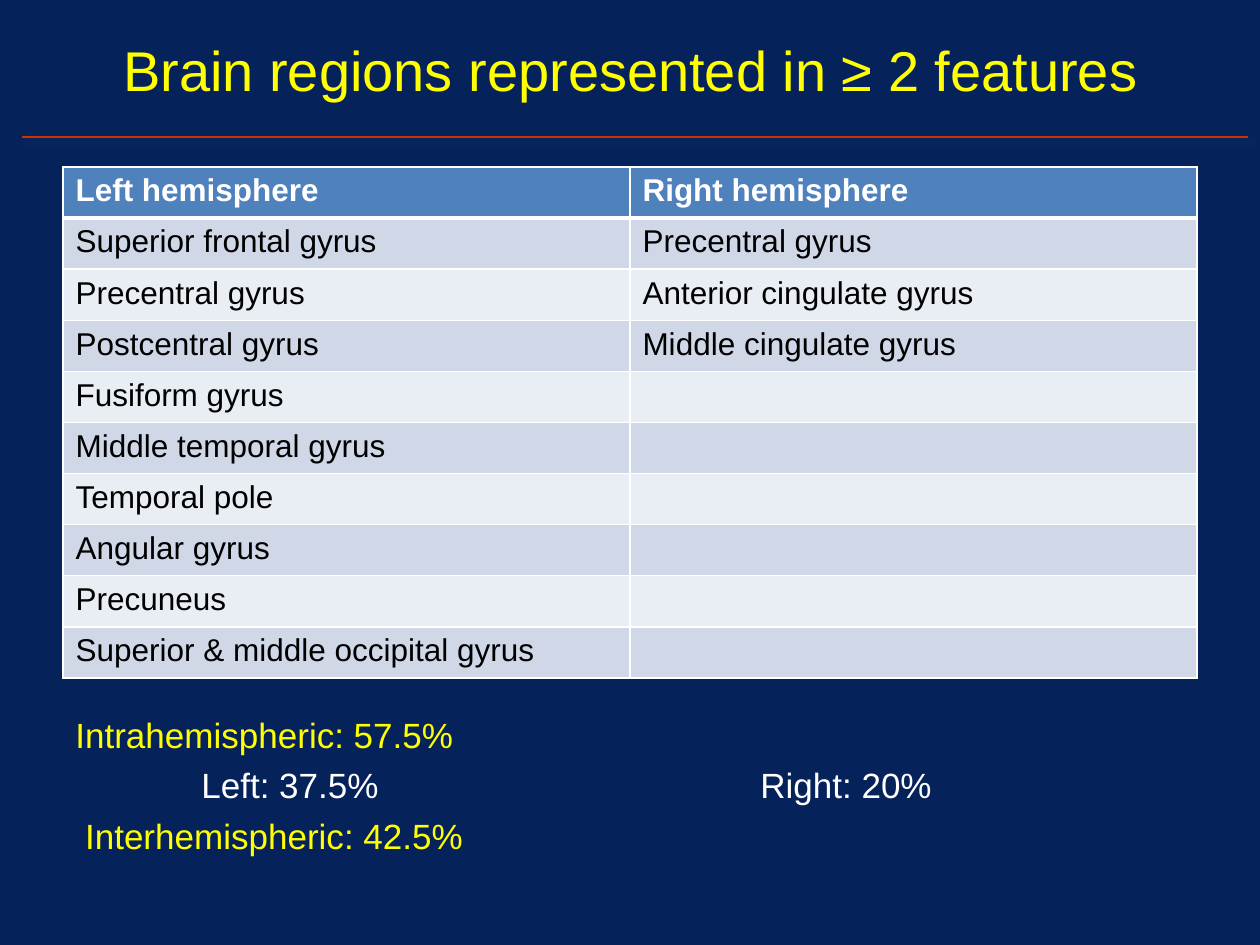
"""Build a slide listing brain regions represented in two or more features."""
import pptx
import pptx.dml.color
import pptx.enum.shapes
import pptx.enum.text
import pptx.oxml
import pptx.util

PX = 914400 // 126
NS = 'xmlns:a="http://schemas.openxmlformats.org/drawingml/2006/main"'
NAVY, YELLOW, WHITE, BLACK = "06225B", "FFFF00", "FFFFFF", "000000"
RED, HEAD, BANDS = "CC3300", "4F81BD", ("D0D8E8", "E9EDF4")

TITLE = "Brain regions represented in ≥ 2 features"
LEFT = [
    "Left hemisphere",
    "Superior frontal gyrus",
    "Precentral gyrus",
    "Postcentral gyrus",
    "Fusiform gyrus",
    "Middle temporal gyrus",
    "Temporal pole",
    "Angular gyrus",
    "Precuneus",
    "Superior & middle occipital gyrus",
]
RIGHT = [
    "Right hemisphere",
    "Precentral gyrus",
    "Anterior cingulate gyrus",
    "Middle cingulate gyrus",
]
NOTES = [
    ("Intrahemispheric: 57.5%", YELLOW, []),
    ("\tLeft: 37.5%\tRight: 20%", WHITE, [126, 685]),
    (" Interhemispheric: 42.5%", YELLOW, []),
]
TABLE = (63, 167, 1134, 511)
SHADOW = (
    f'<a:effectLst {NS}><a:outerShdw blurRad="63500" dist="38100" dir="2700000">'
    '<a:srgbClr val="1F497D"><a:alpha val="50000"/></a:srgbClr>'
    '</a:outerShdw></a:effectLst>'
)


def scale(*nums):
    return [n * PX for n in nums]


def color(code):
    return pptx.dml.color.RGBColor.from_string(code)


def paint(fill, code):
    fill.solid()
    fill.fore_color.rgb = color(code)


def write(para, text, size, code, bold=False):
    run = para.add_run()
    run.text = text
    run.font.name = "Arial"
    run.font.size = pptx.util.Pt(size)
    run.font.bold = bold
    run.font.color.rgb = color(code)


def add_box(slide, *rect):
    frame = slide.shapes.add_textbox(*scale(*rect)).text_frame
    frame.word_wrap = True
    return frame


def add_rule(slide):
    kind = pptx.enum.shapes.MSO_CONNECTOR.STRAIGHT
    rule = slide.shapes.add_connector(kind, *scale(22, 137, 1248, 137))
    rule.line.color.rgb = color(RED)
    rule.line.width = pptx.util.Pt(1)
    rule._element.spPr.append(pptx.oxml.parse_xml(SHADOW))


def add_title(slide):
    frame = add_box(slide, 30, 18, 1202, 102)
    frame.vertical_anchor = pptx.enum.text.MSO_ANCHOR.MIDDLE
    para = frame.paragraphs[0]
    para.alignment = pptx.enum.text.PP_ALIGN.CENTER
    write(para, TITLE, 32, YELLOW)


def edge(cell, head):
    props = cell._tc.get_or_add_tcPr()
    for spot, side in enumerate("LRTB"):
        width = 38100 if head and side == "B" else 12700
        props.insert(spot, pptx.oxml.parse_xml(
            f'<a:ln{side} {NS} w="{width}"><a:solidFill>'
            f'<a:srgbClr val="{WHITE}"/></a:solidFill></a:ln{side}>'))


def add_grid(slide):
    grid = slide.shapes.add_table(len(LEFT), 2, *scale(*TABLE)).table
    for col, names in enumerate((LEFT, RIGHT)):
        for row in range(len(LEFT)):
            cell = grid.cell(row, col)
            head = row == 0
            paint(cell.fill, HEAD if head else BANDS[(row - 1) % 2])
            edge(cell, head)
            if row < len(names):
                para = cell.text_frame.paragraphs[0]
                write(para, names[row], 18, WHITE if head else BLACK, head)


def add_notes(slide):
    frame = add_box(slide, 63, 699, 1133, 164)
    for spot, (text, code, tabs) in enumerate(NOTES):
        para = frame.add_paragraph() if spot else frame.paragraphs[0]
        para.line_spacing = 1.2
        if tabs:
            stops = "".join(f'<a:tab pos="{n}" algn="l"/>' for n in scale(*tabs))
            para._p.get_or_add_pPr().append(
                pptx.oxml.parse_xml(f"<a:tabLst {NS}>{stops}</a:tabLst>"))
        write(para, text, 20, code)


def main():
    deck = pptx.Presentation()
    deck.slide_width, deck.slide_height = scale(1260, 945)
    slide = deck.slides.add_slide(deck.slide_layouts[6])
    paint(slide.background.fill, NAVY)
    add_rule(slide)
    add_title(slide)
    add_grid(slide)
    add_notes(slide)
    deck.save("out.pptx")


if __name__ == "__main__":
    main()
